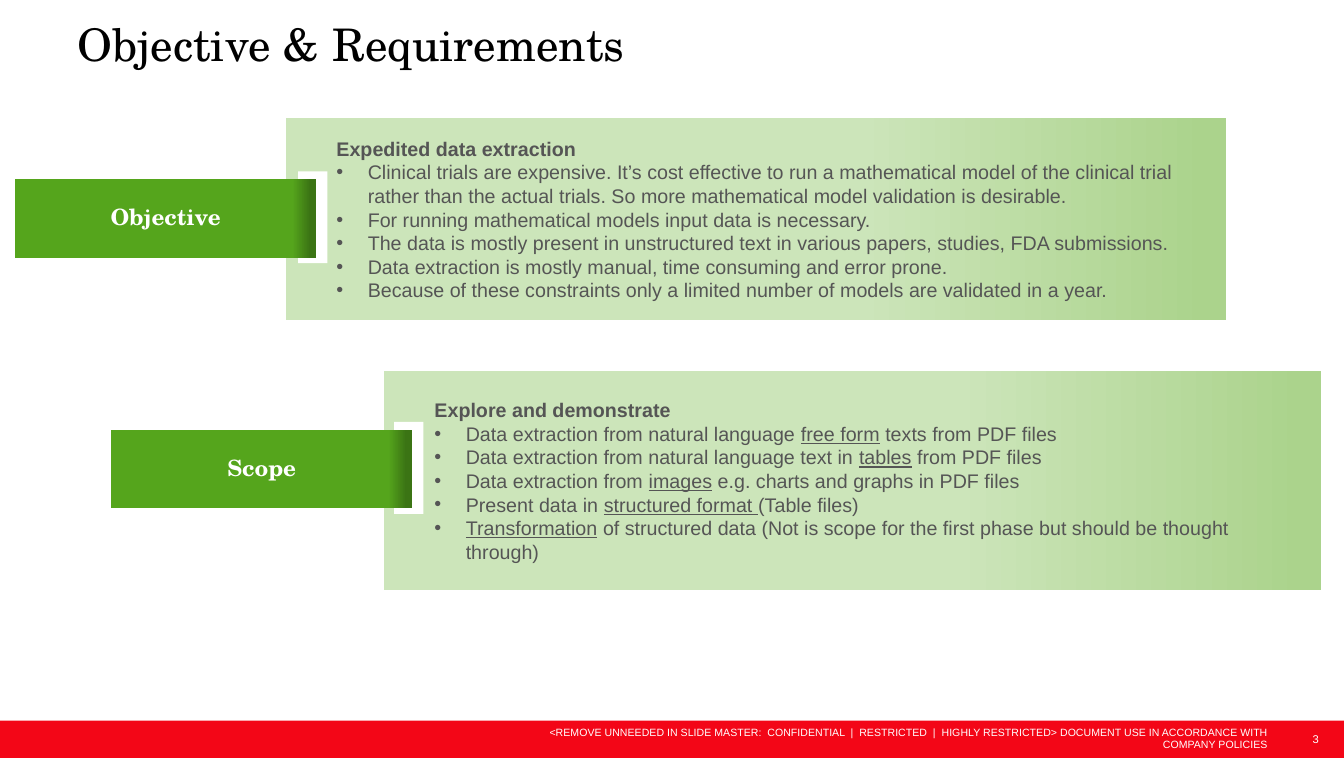
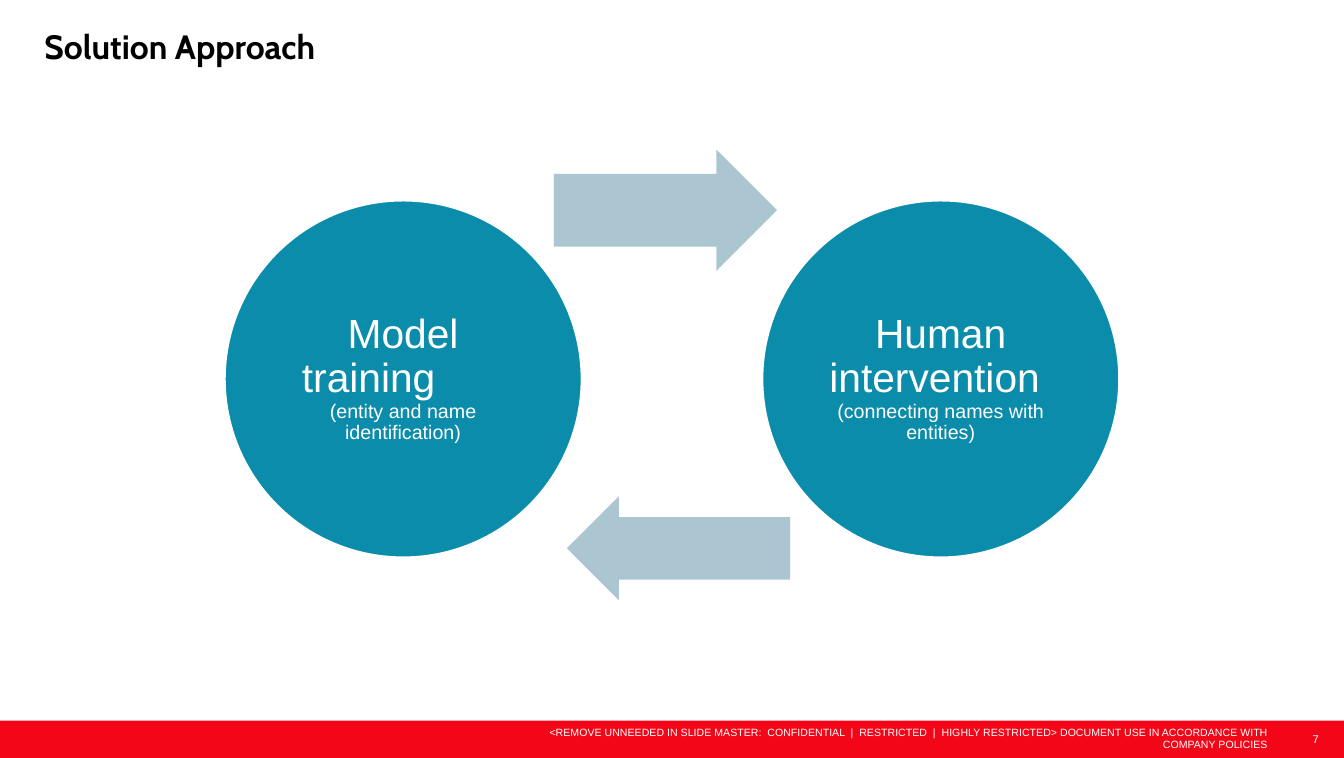
from dataclasses import dataclass

from lxml.etree import SubElement
from pptx import Presentation
from pptx.dml.color import RGBColor
from pptx.enum.shapes import MSO_SHAPE
from pptx.enum.text import MSO_ANCHOR, PP_ALIGN
from pptx.oxml.ns import qn
from pptx.util import Inches, Pt


@dataclass(frozen=True)
class Theme:
    body_font: str = "Arial"
    serif_font: str = "TeX Gyre Schola"
    title_font: str = "Cabin"
    white: str = "FFFFFF"
    black: str = "000000"
    band: str = "F30617"
    body: str = "555555"
    panel: tuple = (("CCE5BA", 0.61), ("ABD38C", 0.98))
    tab: tuple = (("55A51C", 0.92), ("3B7414", 0.98))
    circle: str = "0A8CAA"
    arrow: str = "ABC5D1"
    footer_size: float = 7.5
    number_size: float = 8
    body_size: float = 14
    tab_size: float = 16
    title_size: float = 24
    circle_size: float = 29
    large_title_size: float = 32


theme = Theme()
presentation = Presentation()
presentation.slide_width = Inches(13.3)
presentation.slide_height = Inches(7.5)
column = presentation.slide_width // 133
row = presentation.slide_height // 75


def add_box(slide, kind, left, top, width, height, fill=None):
    place = [int(left * column), int(top * row), int(width * column), int(height * row)]
    if kind is None:
        return slide.shapes.add_textbox(*place)
    shape = slide.shapes.add_shape(kind, *place)
    shape.shadow.inherit = False
    shape.line.fill.background()
    if isinstance(fill, str):
        shape.fill.solid()
        shape.fill.fore_color.rgb = RGBColor.from_string(fill)
    else:
        shape.fill.gradient()
        shape.fill.gradient_angle = 0
        for stop, (color, position) in zip(shape.fill.gradient_stops, fill):
            stop.color.rgb = RGBColor.from_string(color)
            stop.position = position
    return shape


def write(shape, lines, font, size, color, bold=False, align=PP_ALIGN.LEFT,
          insets=(1, 0.5, 1, 0.5), spacing=None):
    frame = shape.text_frame
    frame.word_wrap = True
    frame.vertical_anchor = MSO_ANCHOR.MIDDLE
    frame.margin_left, frame.margin_right = (int(inset * column) for inset in insets[::2])
    frame.margin_top, frame.margin_bottom = (int(inset * row) for inset in insets[1::2])
    for index, line in enumerate(lines):
        paragraph = frame.add_paragraph() if index else frame.paragraphs[0]
        paragraph.alignment = align
        paragraph.line_spacing = spacing
        for part, text in enumerate(line.split("_")):
            if text:
                run = paragraph.add_run()
                run.text = text
                run.font.name = font
                run.font.size = Pt(size)
                run.font.bold = bold
                run.font.underline = part % 2 == 1
                run.font.color.rgb = RGBColor.from_string(color)
    return frame.paragraphs


footer = (
    "<REMOVE UNNEEDED IN SLIDE MASTER:  CONFIDENTIAL  |  RESTRICTED  |  "
    "HIGHLY RESTRICTED> DOCUMENT USE IN ACCORDANCE WITH COMPANY POLICIES"
)
pages = [
    ("Objective & Requirements", "3", theme.serif_font, theme.large_title_size, False, 7.7, 7),
    ("Solution Approach", "7", theme.title_font, theme.title_size, True, 4.4, 7.5),
]
slides = []
for title, number, font, size, bold, left, height in pages:
    slide = presentation.slides.add_slide(presentation.slide_layouts[6])
    add_box(slide, MSO_SHAPE.RECTANGLE, 0, 71.3, 133, 3.7, theme.band)
    write(add_box(slide, None, 53.2, 71.3, 73.2, 3.5), [footer], theme.body_font,
          theme.footer_size, theme.white, align=PP_ALIGN.RIGHT)
    write(add_box(slide, None, 126.4, 71.2, 5.1, 3.8), [number], theme.body_font,
          theme.number_size, theme.white, align=PP_ALIGN.RIGHT)
    write(add_box(slide, None, left, 0.8, 119.7, height), [title], font, size,
          theme.black, bold, insets=(0, 0, 0, 0))
    slides.append(slide)
requirements, approach = slides

sections = [
    ("Objective", (28.3, 11.7, 93, 20), (1.5, 17.7), [
        "Expedited data extraction",
        "Clinical trials are expensive. It’s cost effective to run a mathematical model of the "
        "clinical trial rather than the actual trials. So more mathematical model validation "
        "is desirable.",
        "For running mathematical models input data is necessary.",
        "The data is mostly present in unstructured text in various papers, studies, "
        "FDA submissions.",
        "Data extraction is mostly manual, time consuming and error prone.",
        "Because of these constraints only a limited number of models are validated in a year.",
    ]),
    ("Scope", (38, 36.7, 92.7, 21.7), (11, 42.5), [
        "Explore and demonstrate",
        "Data extraction from natural language _free form_ texts from PDF files",
        "Data extraction from natural language text in _tables_ from PDF files",
        "Data extraction from _images_ e.g. charts and graphs in PDF files",
        "Present data in _structured format _(Table files)",
        "_Transformation_ of structured data (Not is scope for the first phase but should be "
        "thought through)",
    ]),
]
for name, panel_place, (tab_left, tab_top), lines in sections:
    panel = add_box(requirements, MSO_SHAPE.RECTANGLE, *panel_place, theme.panel)
    heading, *points = write(panel, lines, theme.body_font, theme.body_size, theme.body,
                             insets=(5, 0.1, 3, 0.1))
    heading.runs[0].font.bold = True
    for point in points:
        properties = point._p.get_or_add_pPr()
        properties.set("marL", str(Inches(0.31)))
        properties.set("indent", str(-Inches(0.31)))
        SubElement(properties, qn("a:buFont")).set("typeface", theme.body_font)
        SubElement(properties, qn("a:buChar")).set("char", "•")
    add_box(requirements, MSO_SHAPE.RECTANGLE, tab_left + 28, tab_top - 0.75, 2.9, 9.1,
            theme.white)
    tab = add_box(requirements, MSO_SHAPE.RECTANGLE, tab_left, tab_top, 29.8, 7.8, theme.tab)
    write(tab, [name], theme.serif_font, theme.tab_size, theme.white, True,
          PP_ALIGN.CENTER, (0.7, 0.4, 0.7, 0.4), 0.9)

diameter = 35.4
steps = [
    (22.2, ["Model", "training", "(entity and name identification)"], 2.1,
     (54.8, 14.8, 22.1, 12), 0),
    (133 - 22.2 - diameter, ["Human", "intervention", "(connecting names with entities)"], 1.1,
     (56.1, 49.1, 22.1, 10.3), 180),
]
for left, lines, indent, arrow_place, rotation in steps:
    circle = add_box(approach, MSO_SHAPE.OVAL, left, 19.8, diameter, diameter, theme.circle)
    circle.line.color.rgb = RGBColor.from_string(theme.white)
    circle.line.width = Pt(2)
    first, second, detail = write(circle, lines, theme.body_font, theme.circle_size, theme.white,
                                  align=PP_ALIGN.CENTER, insets=(0.4,) * 4, spacing=0.9)
    second.alignment = PP_ALIGN.LEFT
    second._p.get_or_add_pPr().set("marL", str(int(indent * column)))
    detail.runs[0].font.size = Pt(theme.body_size)
    arrow = add_box(approach, MSO_SHAPE.RIGHT_ARROW, *arrow_place, theme.arrow)
    arrow.adjustments[0] = 0.6
    arrow.adjustments[1] = 0.5
    arrow.rotation = rotation

presentation.save("out.pptx")
